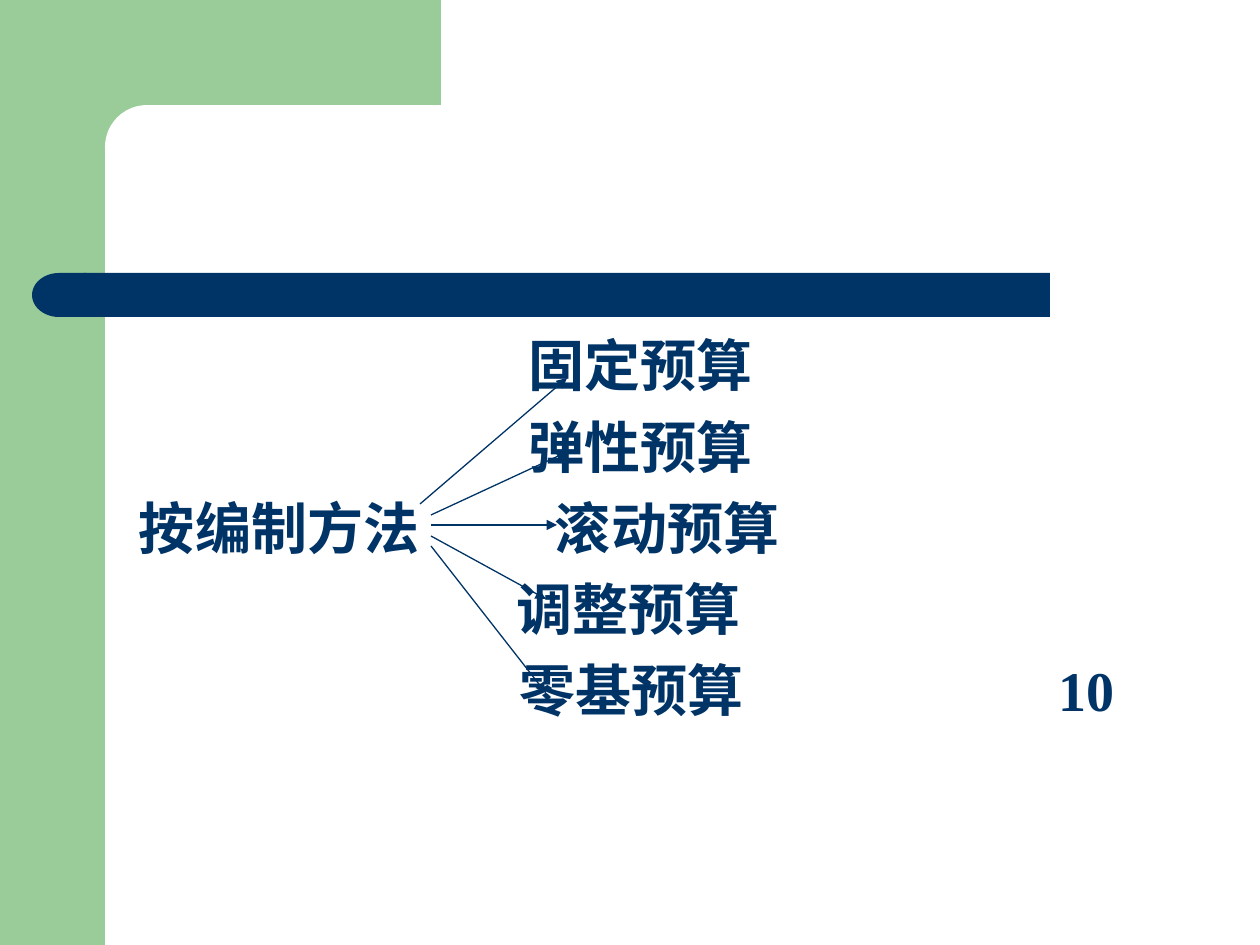
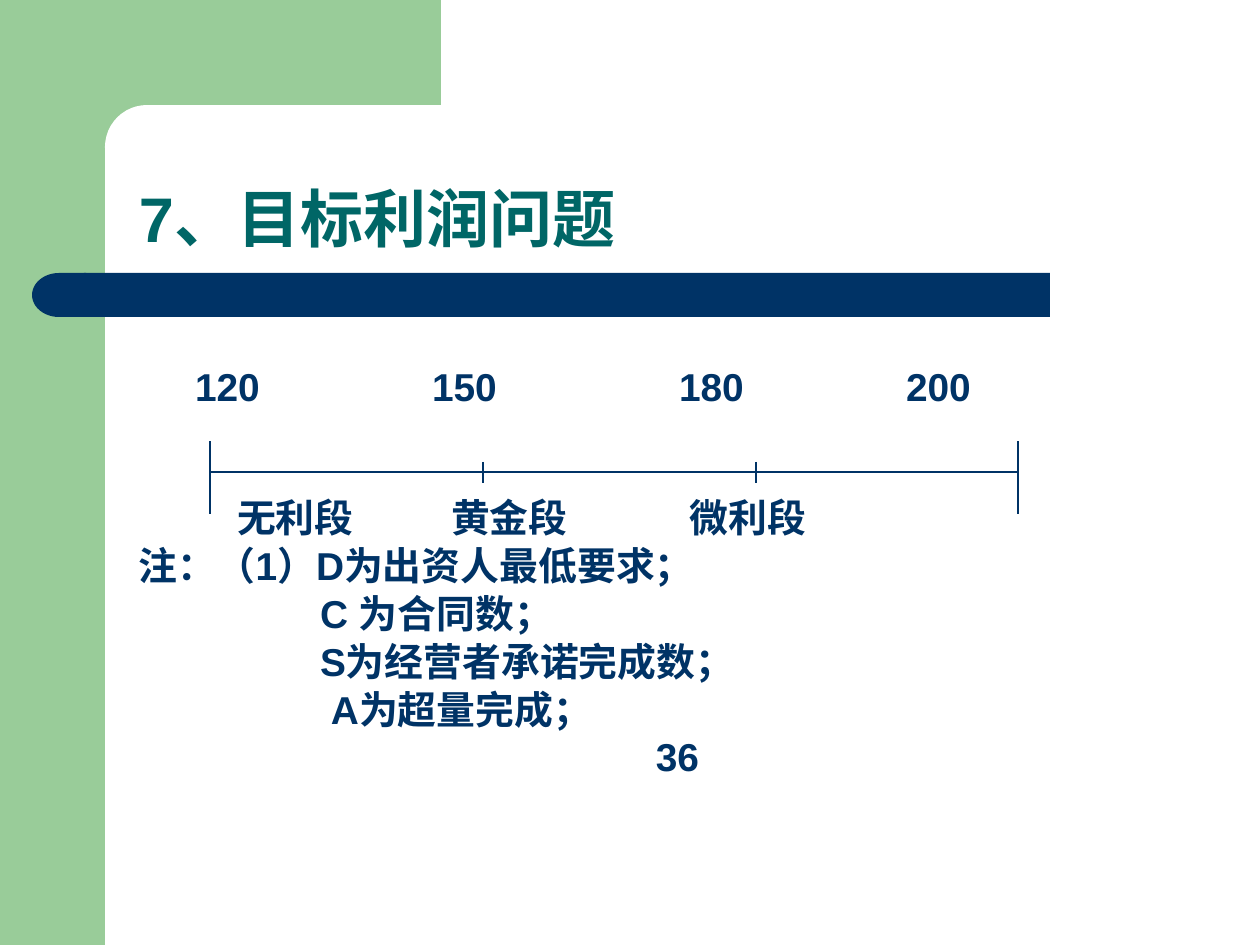
from dataclasses import dataclass

from lxml import etree
from pptx import Presentation
from pptx.dml.color import RGBColor
from pptx.enum.shapes import MSO_CONNECTOR, MSO_SHAPE
from pptx.enum.text import MSO_ANCHOR, PP_ALIGN
from pptx.oxml.ns import qn
from pptx.util import Emu, Pt

RECTANGLE = MSO_SHAPE.RECTANGLE
ROUNDED = MSO_SHAPE.ROUNDED_RECTANGLE
DELAY = MSO_SHAPE.FLOWCHART_DELAY
STRAIGHT = MSO_CONNECTOR.STRAIGHT
LEFT, CENTER = PP_ALIGN.LEFT, PP_ALIGN.CENTER
TOP, BOTTOM = MSO_ANCHOR.TOP, MSO_ANCHOR.BOTTOM

PX_PER_INCH = 126
PAGE_WIDTH, PAGE_HEIGHT = 1260, 945
TEXT_LEFT, TEXT_WIDTH = 139, 1077

GREEN, NAVY, TEAL, WHITE = "99CC99", "003366", "006666", "FFFFFF"


@dataclass(frozen=True)
class Block:
    kind: int
    left: int
    top: int
    width: int
    height: int
    color: str
    rounding: float | None = None
    rotation: int = 0


@dataclass(frozen=True)
class Line:
    """One paragraph; tab stops are page positions in px."""
    text: str
    tabs: tuple[int, ...] = ()
    align: int = LEFT


@dataclass(frozen=True)
class Style:
    font: str
    size: float
    color: str
    spacing: float
    anchor: int = TOP


@dataclass(frozen=True)
class Stroke:
    x1: int
    y1: int
    x2: int
    y2: int


FRAME = (
    Block(RECTANGLE, 0, 0, 105, PAGE_HEIGHT, GREEN),
    Block(RECTANGLE, 95, 0, 346, 147, GREEN),
    Block(ROUNDED, 105, 105, 703, 84, WHITE, rounding=0.5),
    Block(RECTANGLE, 84, 273, 966, 44, NAVY),
    Block(DELAY, 32, 273, 54, 44, NAVY, rotation=180),
)

TITLE = Style("Arial", 36, TEAL, 0.9, BOTTOM)
METHODS = Style("Times New Roman", 32, NAVY, Pt(46.4))
PROFIT = Style("Arial", 22.2, NAVY, Pt(27.4))

BUDGET_LINES = (
    Line("\t固定预算", (528,)),
    Line("\t弹性预算", (528,)),
    Line("按编制方法\t滚动预算", (555,)),
    Line("\t调整预算", (516,)),
    Line("\t零基预算\t10", (520, 1058)),
)
BUDGET_ARROWS = (
    Stroke(420, 504, 567, 378),
    Stroke(431, 515, 567, 452),
    Stroke(431, 525, 557, 525),
    Stroke(431, 536, 546, 599),
    Stroke(431, 546, 546, 693),
)

SCALE_LINES = (Line("\t120\t150\t180\t200", (195, 432, 679, 906)),)
NOTE_LINES = (
    Line("\t无利段\t黄金段\t微利段", (237, 451, 690)),
    Line("注：（1）D为出资人最低要求；"),
    Line("\tC 为合同数；", (320,)),
    Line("\tS为经营者承诺完成数；", (320,)),
    Line("\tA为超量完成；", (331,)),
    Line("36", align=CENTER),
)
AXIS_Y, AXIS_START, AXIS_END = 472, 210, 1018
AXIS_STROKES = (
    Stroke(AXIS_START, AXIS_Y, AXIS_END, AXIS_Y),
    *(Stroke(x, 441, x, 514) for x in (AXIS_START, AXIS_END)),
    *(Stroke(x, 462, x, 483) for x in (483, 756)),
)


def px(length: int) -> Emu:
    return Emu(round(length * 914400 / PX_PER_INCH))


def rgb(color: str) -> RGBColor:
    return RGBColor.from_string(color)


def add_block(page, block: Block) -> None:
    shape = page.shapes.add_shape(
        block.kind, px(block.left), px(block.top), px(block.width), px(block.height))
    shape.shadow.inherit = False
    shape.fill.solid()
    shape.fill.fore_color.rgb = rgb(block.color)
    shape.line.fill.background()
    shape.rotation = block.rotation
    if block.rounding is not None:
        shape.adjustments[0] = block.rounding


def add_tabs(paragraph, stops: tuple[int, ...]) -> None:
    tab_list = etree.SubElement(paragraph._p.get_or_add_pPr(), qn("a:tabLst"))
    for stop in stops:
        etree.SubElement(tab_list, qn("a:tab"),
                         pos=str(px(stop - TEXT_LEFT)), algn="l")


def add_text(page, top: int, height: int, lines: tuple[Line, ...], style: Style) -> None:
    box = page.shapes.add_textbox(px(TEXT_LEFT), px(top), px(TEXT_WIDTH), px(height))
    frame = box.text_frame
    frame.word_wrap = True
    frame.vertical_anchor = style.anchor
    frame.margin_left = frame.margin_right = frame.margin_top = frame.margin_bottom = 0
    frame.text = "\n".join(line.text for line in lines)
    for paragraph, line in zip(frame.paragraphs, lines):
        paragraph.alignment = line.align
        paragraph.line_spacing = style.spacing
        if line.tabs:
            add_tabs(paragraph, line.tabs)
        for span in paragraph.runs:
            span.font.name = style.font
            span.font.size = Pt(style.size)
            span.font.bold = True
            span.font.color.rgb = rgb(style.color)


def add_stroke(page, stroke: Stroke, arrow: bool = False) -> None:
    connector = page.shapes.add_connector(
        STRAIGHT, px(stroke.x1), px(stroke.y1), px(stroke.x2), px(stroke.y2))
    connector.line.color.rgb = rgb(NAVY)
    connector.line.width = Pt(0.75)
    if arrow:
        etree.SubElement(connector.line._get_or_add_ln(), qn("a:tailEnd"), type="triangle")
    etree.SubElement(connector._element.spPr, qn("a:effectLst"))


def add_page(deck):
    """Add a blank page carrying the shared bands."""
    page = deck.slides.add_slide(deck.slide_layouts[6])
    for block in FRAME:
        add_block(page, block)
    return page


def build_budget_page(deck) -> None:
    page = add_page(deck)
    add_text(page, 317, 420, BUDGET_LINES, METHODS)
    for arrow in BUDGET_ARROWS:
        add_stroke(page, arrow, arrow=True)


def build_profit_page(deck) -> None:
    page = add_page(deck)
    add_text(page, 105, 151, (Line("7、目标利润问题"),), TITLE)
    add_text(page, 361, 48, SCALE_LINES, PROFIT)
    add_text(page, 492, 288, NOTE_LINES, PROFIT)
    for stroke in AXIS_STROKES:
        add_stroke(page, stroke)


def main() -> None:
    deck = Presentation()
    deck.slide_width, deck.slide_height = px(PAGE_WIDTH), px(PAGE_HEIGHT)
    build_budget_page(deck)
    build_profit_page(deck)
    deck.save("out.pptx")


if __name__ == "__main__":
    main()
